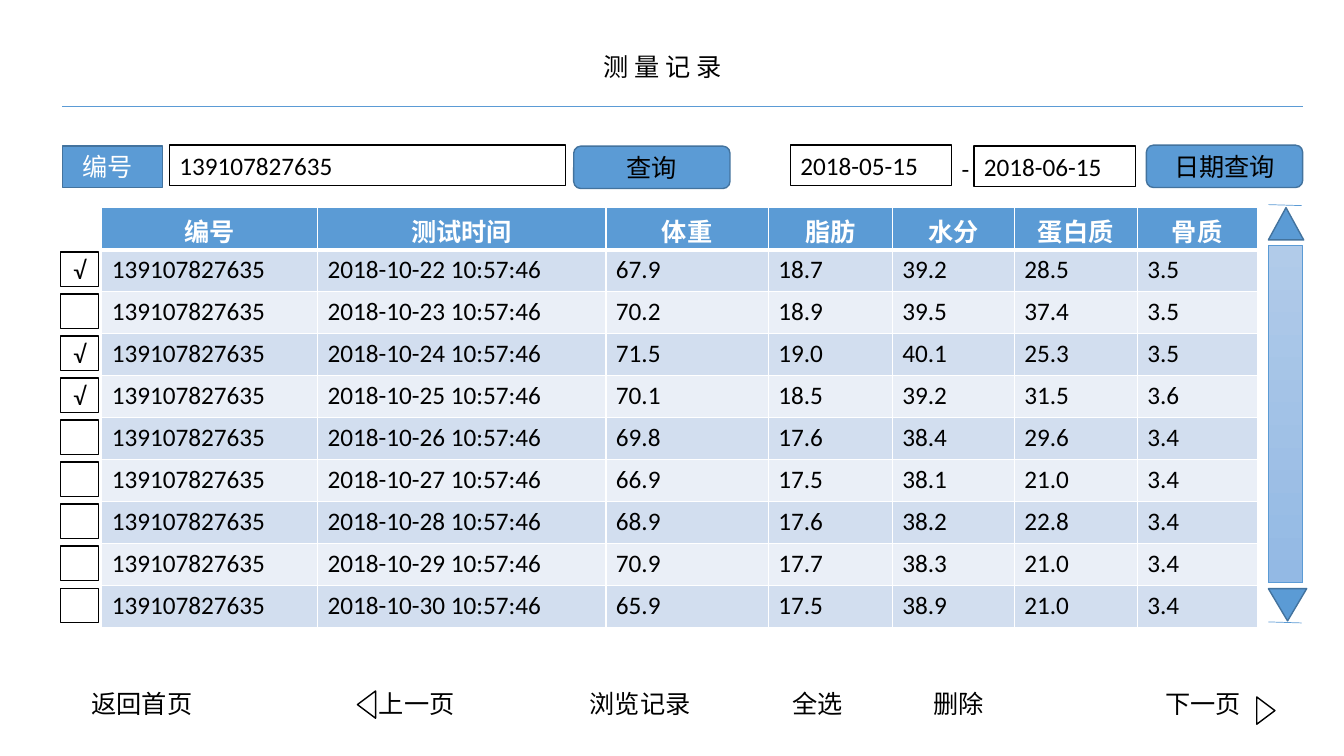
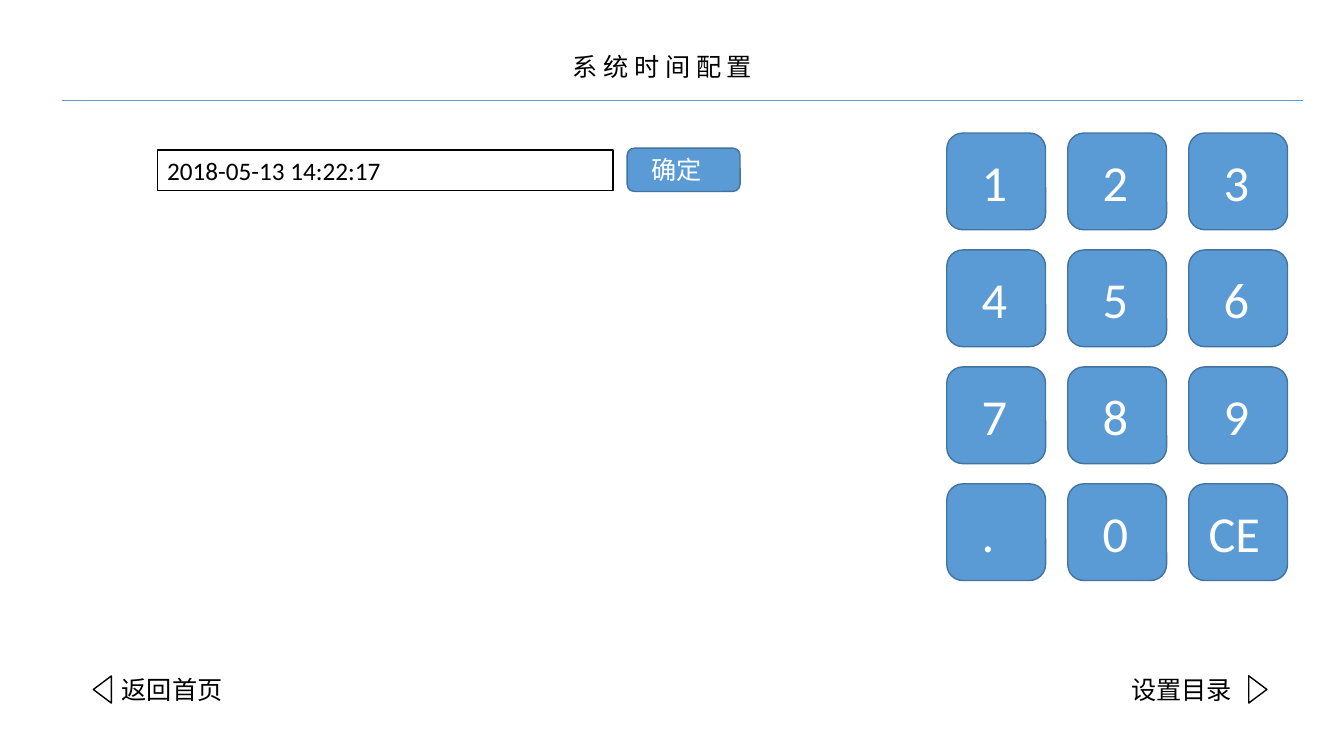
from dataclasses import dataclass

from lxml.etree import SubElement
from pptx import Presentation
from pptx.dml.color import RGBColor
from pptx.enum.shapes import MSO_CONNECTOR, MSO_SHAPE
from pptx.enum.text import MSO_ANCHOR, PP_ALIGN
from pptx.oxml import parse_xml
from pptx.oxml.ns import nsdecls, qn
from pptx.util import Inches, Pt


@dataclass(frozen=True)
class Theme:
    accent: str = "5B9BD5"
    accent_edge: str = "43739E"
    band_dark: str = "D2DEEF"
    band_light: str = "EAEFF7"
    scroll_top: str = "B1CBE9"
    scroll_bottom: str = "93B9E4"
    ink: str = "000000"
    paper: str = "FFFFFF"
    font: str = "Calibri"
    title_font: str = "Noto Sans CJK SC"
    body_size: int = 18
    key_size: int = 36


THEME = Theme()

COLUMNS = {"编号": 2.14, "测试时间": 2.86, "体重": 1.61, "脂肪": 1.23,
           "水分": 1.21, "蛋白质": 1.22, "骨质": 1.19}
RECORD_ID = "139107827635"
FIRST_DAY = 22
# Weight, fat, water, protein and bone for each day
MEASUREMENTS = [
    ("67.9", "18.7", "39.2", "28.5", "3.5"),
    ("70.2", "18.9", "39.5", "37.4", "3.5"),
    ("71.5", "19.0", "40.1", "25.3", "3.5"),
    ("70.1", "18.5", "39.2", "31.5", "3.6"),
    ("69.8", "17.6", "38.4", "29.6", "3.4"),
    ("66.9", "17.5", "38.1", "21.0", "3.4"),
    ("68.9", "17.6", "38.2", "22.8", "3.4"),
    ("70.9", "17.7", "38.3", "21.0", "3.4"),
    ("65.9", "17.5", "38.9", "21.0", "3.4"),
]
CHECKED_ROWS = {0, 2, 3}
TABLE_HEIGHT = 4.17
ROW_HEIGHT = TABLE_HEIGHT / (len(MEASUREMENTS) + 1)
KEYPAD = ["123", "456", "789", [".", "0", "CE"]]


def rgb(value):
    return RGBColor.from_string(value)


# Text
def write(frame, text, size=THEME.body_size, color=THEME.ink, font=THEME.font,
          bold=False, align=PP_ALIGN.LEFT):
    paragraph = frame.paragraphs[0]
    paragraph.alignment = align
    run = paragraph.add_run()
    run.text = text
    run.font.size = Pt(size)
    run.font.name = font
    run.font.bold = bold
    run.font.color.rgb = rgb(color)


def add_label(slide, text, left, top, width, **text_format):
    label = slide.shapes.add_textbox(Inches(left), Inches(top), Inches(width), Inches(0.4))
    label.text_frame.word_wrap = True
    write(label.text_frame, text, **text_format)


# Shapes and lines
def add_block(slide, kind, left, top, width, height, fill=THEME.paper,
              edge=THEME.ink, edge_width=1, rotation=0):
    block = slide.shapes.add_shape(kind, Inches(left), Inches(top), Inches(width), Inches(height))
    block.shadow.inherit = False
    block.rotation = rotation
    block.fill.solid()
    block.fill.fore_color.rgb = rgb(fill)
    block.line.color.rgb = rgb(edge)
    block.line.width = Pt(edge_width)
    return block


def write_inside(block, text, inset=0.0, **text_format):
    frame = block.text_frame
    frame.word_wrap = False
    frame.vertical_anchor = MSO_ANCHOR.MIDDLE
    frame.margin_left = Inches(inset)
    frame.margin_right = frame.margin_top = frame.margin_bottom = 0
    write(frame, text, **text_format)


def add_field(slide, text, left, top, width):
    field = add_block(slide, MSO_SHAPE.RECTANGLE, left, top, width, 0.4)
    write_inside(field, text, inset=0.1)


def add_button(slide, text, left, top, width, height, kind=MSO_SHAPE.ROUNDED_RECTANGLE,
               inset=0.0, **text_format):
    button = add_block(slide, kind, left, top, width, height,
                       fill=THEME.accent, edge=THEME.accent_edge)
    write_inside(button, text, inset=inset, **text_format)


def add_page_arrow(slide, left, top, rotation):
    add_block(slide, MSO_SHAPE.ISOSCELES_TRIANGLE, left, top, 0.27, 0.18, rotation=rotation)


def add_rule(slide, left, top, right, bottom):
    rule = slide.shapes.add_connector(MSO_CONNECTOR.STRAIGHT, Inches(left), Inches(top),
                                      Inches(right), Inches(bottom))
    rule.line.color.rgb = rgb(THEME.accent)
    rule.line.width = Pt(0.5)
    SubElement(rule._element.spPr, qn("a:effectLst"))


def add_header(slide, title, rule_top):
    add_label(slide, title, 2.77, 0.46, 7.6, font=THEME.title_font, align=PP_ALIGN.CENTER)
    add_rule(slide, 0.62, rule_top, 12.92, rule_top)


# Record table
def set_borders(cell, bottom=1):
    properties = cell._tc.get_or_add_tcPr()
    widths = {"lnL": 1, "lnR": 1, "lnT": 1, "lnB": bottom}
    for position, (side, width) in enumerate(widths.items()):
        properties.insert(position, parse_xml(
            f'<a:{side} {nsdecls("a")} w="{Pt(width)}"><a:solidFill>'
            f'<a:srgbClr val="{THEME.paper}"/></a:solidFill></a:{side}>'))


def add_records(slide, left, top):
    rows = [list(COLUMNS)]
    for day, values in enumerate(MEASUREMENTS, FIRST_DAY):
        rows.append([RECORD_ID, f"2018-10-{day} 10:57:46", *values])
    table = slide.shapes.add_table(
        len(rows), len(COLUMNS), Inches(left), Inches(top),
        Inches(sum(COLUMNS.values())), Inches(TABLE_HEIGHT)).table
    for column, width in zip(table.columns, COLUMNS.values()):
        column.width = Inches(width)
    for row_index, row in enumerate(rows):
        table.rows[row_index].height = Inches(ROW_HEIGHT)
        header = row_index == 0
        band = THEME.band_dark if row_index % 2 else THEME.band_light
        for column_index, text in enumerate(row):
            cell = table.cell(row_index, column_index)
            cell.fill.solid()
            cell.fill.fore_color.rgb = rgb(THEME.accent if header else band)
            set_borders(cell, bottom=3 if header else 1)
            write(cell.text_frame, text, bold=header,
                  color=THEME.paper if header else THEME.ink,
                  align=PP_ALIGN.CENTER if header else PP_ALIGN.LEFT)


def add_checkboxes(slide, left, top):
    for row in range(len(MEASUREMENTS)):
        box = add_block(slide, MSO_SHAPE.RECTANGLE, left, top + row * ROW_HEIGHT, 0.38, 0.34)
        if row in CHECKED_ROWS:
            write_inside(box, "√", align=PP_ALIGN.CENTER)


def add_scrollbar(slide, left):
    track = add_block(slide, MSO_SHAPE.RECTANGLE, left, 2.43, 0.34, 3.35,
                      edge=THEME.accent, edge_width=0.5)
    track.fill.gradient()
    track.fill.gradient_angle = 270
    for stop, color, position in zip(track.fill.gradient_stops,
                                     (THEME.scroll_top, THEME.scroll_bottom), (0, 1)):
        stop.color.rgb = rgb(color)
        stop.position = position
    for top, width, rotation, rule_top in ((2.06, 0.35, 0, 2.03), (5.84, 0.38, 180, 6.17)):
        add_block(slide, MSO_SHAPE.ISOSCELES_TRIANGLE, left, top, width, 0.32,
                  fill=THEME.accent, edge=THEME.accent_edge, rotation=rotation)
        add_rule(slide, left, rule_top, left + 0.33, rule_top + 0.01)


# Keypad
def add_keypad(slide, left, top):
    for row, keys in enumerate(KEYPAD):
        for column, key in enumerate(keys):
            add_button(slide, key, left + column * 1.2, top + row * 1.16, 0.98, 0.96,
                       inset=0.3 if len(key) == 1 else 0.15,
                       size=THEME.key_size, color=THEME.paper)


# Slides
def build_records_slide(slide):
    add_header(slide, "测 量 记 录", 1.06)

    # Search by number and by date
    add_button(slide, "编号", 0.62, 1.45, 0.99, 0.41, kind=MSO_SHAPE.RECTANGLE,
               inset=0.2, color=THEME.paper)
    add_field(slide, RECORD_ID, 1.68, 1.44, 3.93)
    add_button(slide, "查询", 5.69, 1.45, 1.55, 0.42, align=PP_ALIGN.CENTER)
    add_field(slide, "2018-05-15", 7.84, 1.44, 1.6)
    add_label(slide, "-", 9.44, 1.47, 0.35)
    add_field(slide, "2018-06-15", 9.66, 1.45, 1.6)
    add_button(slide, "日期查询", 11.37, 1.44, 1.55, 0.42, align=PP_ALIGN.CENTER)

    add_records(slide, 1.01, 2.06)
    add_checkboxes(slide, 0.6, 2.5)
    add_scrollbar(slide, 12.58)

    # Page navigation
    for text, left in (("返回首页", 0.81), ("上一页", 3.66), ("浏览记录", 5.75),
                       ("全选", 7.76), ("删除", 9.16), ("下一页", 11.46)):
        add_label(slide, text, left, 6.78, 1.27)
    add_page_arrow(slide, 3.5, 6.9, 270)
    add_page_arrow(slide, 12.42, 6.96, 90)


def build_clock_slide(slide):
    add_header(slide, "系 统 时 间 配 置", 1.0)
    add_field(slide, "2018-05-13 14:22:17", 1.56, 1.49, 4.52)
    add_button(slide, "确定", 6.22, 1.47, 1.12, 0.43, inset=0.22, color=THEME.paper)
    add_keypad(slide, 9.39, 1.32)

    # Page navigation
    add_label(slide, "返回首页", 1.11, 6.64, 1.27)
    add_label(slide, "设置目录", 11.12, 6.64, 1.27)
    add_page_arrow(slide, 0.88, 6.75, 270)
    add_page_arrow(slide, 12.34, 6.75, 90)


def main():
    deck = Presentation()
    deck.slide_width, deck.slide_height = Inches(13.33), Inches(7.5)
    for build in (build_records_slide, build_clock_slide):
        build(deck.slides.add_slide(deck.slide_layouts[6]))
    deck.save("out.pptx")


if __name__ == "__main__":
    main()
